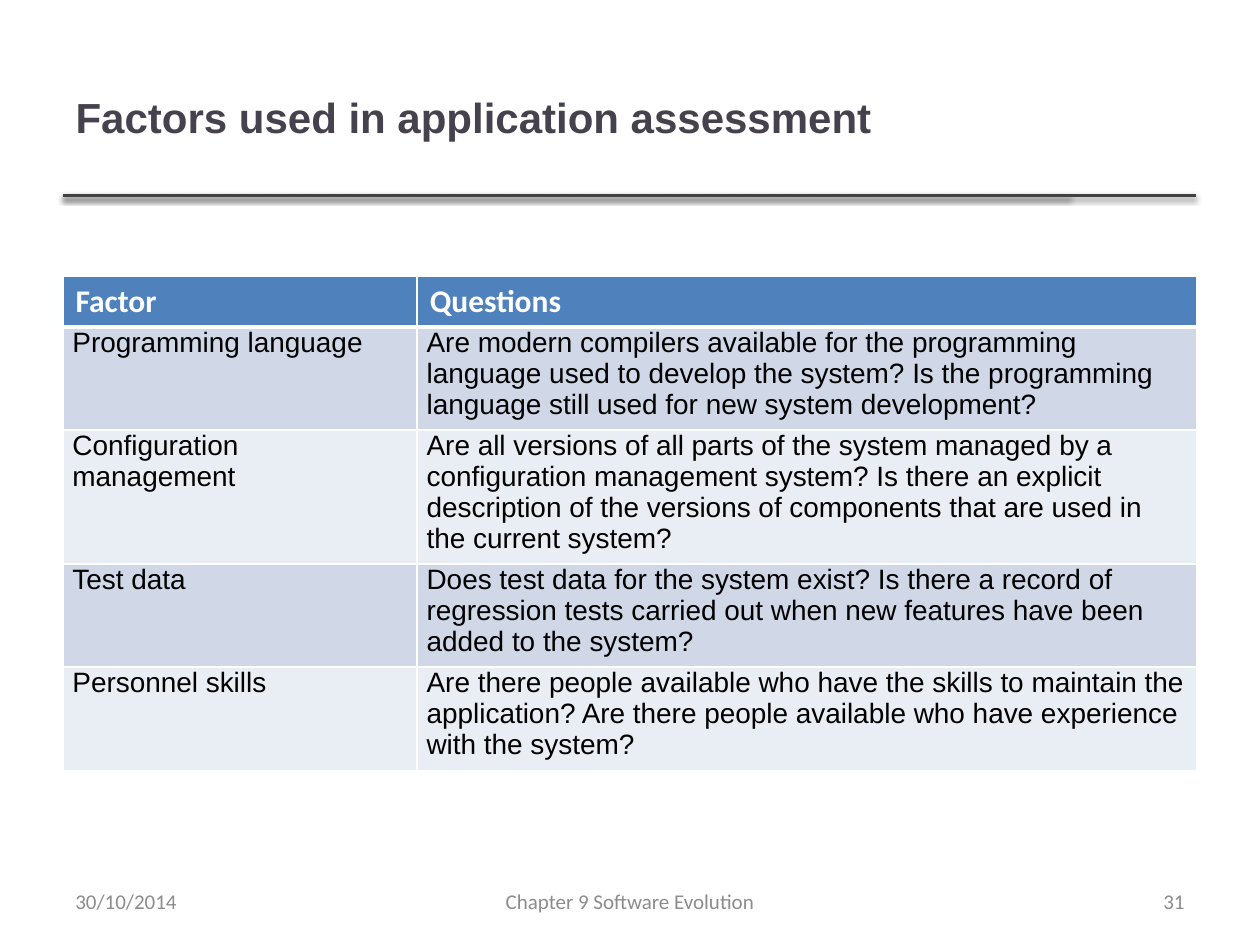
import pptx
import pptx.dml.color
import pptx.enum.shapes
import pptx.enum.text
import pptx.oxml
import pptx.util
from pptx.util import Cm, Pt

RGBColor = pptx.dml.color.RGBColor
Align = pptx.enum.text.PP_ALIGN
Anchor = pptx.enum.text.MSO_ANCHOR

WHITE = RGBColor(0xFF, 0xFF, 0xFF)
BLACK = RGBColor(0x00, 0x00, 0x00)
TITLE_COLOR = RGBColor(0x46, 0x42, 0x4D)
RULE_COLOR = RGBColor(0x40, 0x40, 0x40)
FOOTER_COLOR = RGBColor(0x8C, 0x8C, 0x8C)
HEADER_FILL = RGBColor(0x4F, 0x81, 0xBD)
BAND_FILLS = (RGBColor(0xD0, 0xD8, 0xE8), RGBColor(0xE9, 0xED, 0xF4))

NAMESPACE = 'xmlns:a="http://schemas.openxmlformats.org/drawingml/2006/main"'
RULE_SHADOW = (
    f'<a:effectLst {NAMESPACE}><a:outerShdw blurRad="40000" dist="20000" dir="5400000" '
    'rotWithShape="0"><a:srgbClr val="000000"><a:alpha val="38000"/></a:srgbClr>'
    '</a:outerShdw></a:effectLst>')


class SlideBuilder:
    """Holds the text styles and the slide being built."""

    STYLES = {
        "title": dict(name="Arial", size=Pt(24), bold=True, color=TITLE_COLOR),
        "header": dict(name="Calibri", size=Pt(18), bold=True, color=WHITE),
        "body": dict(name="Arial", size=Pt(16), bold=False, color=BLACK),
        "footer": dict(name="Calibri", size=Pt(12), bold=False, color=FOOTER_COLOR),
    }

    def __init__(self, slide):
        self.slide = slide

    def fill_text(self, text_frame, text, style, alignment=Align.LEFT):
        paragraph = text_frame.paragraphs[0]
        paragraph.alignment = alignment
        run = paragraph.add_run()
        run.text = text
        for attribute, value in self.STYLES[style].items():
            if attribute == "color":
                run.font.color.rgb = value
            else:
                setattr(run.font, attribute, value)
        return paragraph

    def place(self, shape, left, top, width, height):
        bounds = dict(left=left, top=top, width=width, height=height)
        for attribute, value in bounds.items():
            setattr(shape, attribute, Cm(value))

    def title(self, text, *bounds):
        shape = self.slide.shapes.title
        self.place(shape, *bounds)
        shape.text_frame.vertical_anchor = Anchor.MIDDLE
        self.fill_text(shape.text_frame, text, "title")

    def text(self, text, bounds, alignment):
        shape = self.slide.shapes.add_textbox(*map(Cm, bounds))
        shape.text_frame.word_wrap = True
        shape.text_frame.vertical_anchor = Anchor.MIDDLE
        self.fill_text(shape.text_frame, text, "footer", alignment)

    def rule(self, left, right, top):
        line = self.slide.shapes.add_connector(
            pptx.enum.shapes.MSO_CONNECTOR.STRAIGHT,
            Cm(left), Cm(top), Cm(right), Cm(top))
        line.line.color.rgb = RULE_COLOR
        line.line.width = Pt(2)
        line._element.spPr.append(pptx.oxml.parse_xml(RULE_SHADOW))

    def borders(self, cell, widths):
        properties = cell._tc.get_or_add_tcPr()
        for side, width in zip("LRTB", widths):
            properties.append(pptx.oxml.parse_xml(
                f'<a:ln{side} {NAMESPACE} w="{Pt(width)}"><a:solidFill>'
                f'<a:srgbClr val="{WHITE}"/></a:solidFill></a:ln{side}>'))

    def table(self, rows, left, top, column_widths, row_heights):
        table = self.slide.shapes.add_table(
            len(rows), len(column_widths), Cm(left), Cm(top),
            Cm(sum(column_widths)), Cm(sum(row_heights))).table
        for column, width in zip(table.columns, column_widths):
            column.width = Cm(width)
        for index, (row, height) in enumerate(zip(rows, row_heights)):
            table.rows[index].height = Cm(height)
            for column_index, text in enumerate(row):
                self.cell(table.cell(index, column_index), text, index)

    def cell(self, cell, text, row_index):
        header = row_index == 0
        self.borders(cell, (1, 1, 3 if row_index == 1 else 1, 3 if header else 1))
        cell.fill.solid()
        cell.fill.fore_color.rgb = HEADER_FILL if header else BAND_FILLS[(row_index - 1) % 2]
        paragraph = self.fill_text(cell.text_frame, text, "header" if header else "body")
        if not header:
            paragraph.space_after = Pt(6)
            margins = dict(margin_left=0.19, margin_right=0.19, margin_top=0, margin_bottom=0.19)
            for attribute, value in margins.items():
                setattr(cell, attribute, Cm(value))


presentation = pptx.Presentation()
presentation.slide_width = Cm(25.4)
presentation.slide_height = Cm(19.05)
builder = SlideBuilder(presentation.slides.add_slide(presentation.slide_layouts[5]))

# Title and the double rule beneath it
for right in (21.56, 24.1):
    builder.rule(1.27, right, 3.94)
builder.title("Factors used in application assessment", 1.27, 0.76, 20.27, 3.18)

# Assessment factors
builder.table([
    ("Factor", "Questions"),
    ("Programming language",
     "Are modern compilers available for the programming language used to develop the "
     "system? Is the programming language still used for new system development?"),
    ("Configuration management",
     "Are all versions of all parts of the system managed by a configuration management "
     "system? Is there an explicit description of the versions of components that are "
     "used in the current system?"),
    ("Test data",
     "Does test data for the system exist? Is there a record of regression tests carried "
     "out when new features have been added to the system?"),
    ("Personnel skills",
     "Are there people available who have the skills to maintain the application? Are "
     "there people available who have experience with the system?"),
], 1.27, 5.56, (7.14, 15.72), (1.03, 2.08, 2.7, 2.08, 2.08))

# Footer
for text, left, width, alignment in (
        ("30/10/2014", 1.27, 5.92, Align.LEFT),
        ("Chapter 9 Software Evolution", 8.68, 8.04, Align.CENTER),
        ("31", 18.21, 5.92, Align.RIGHT)):
    builder.text(text, (left, 17.65, width, 1.02), alignment)

presentation.save("out.pptx")
